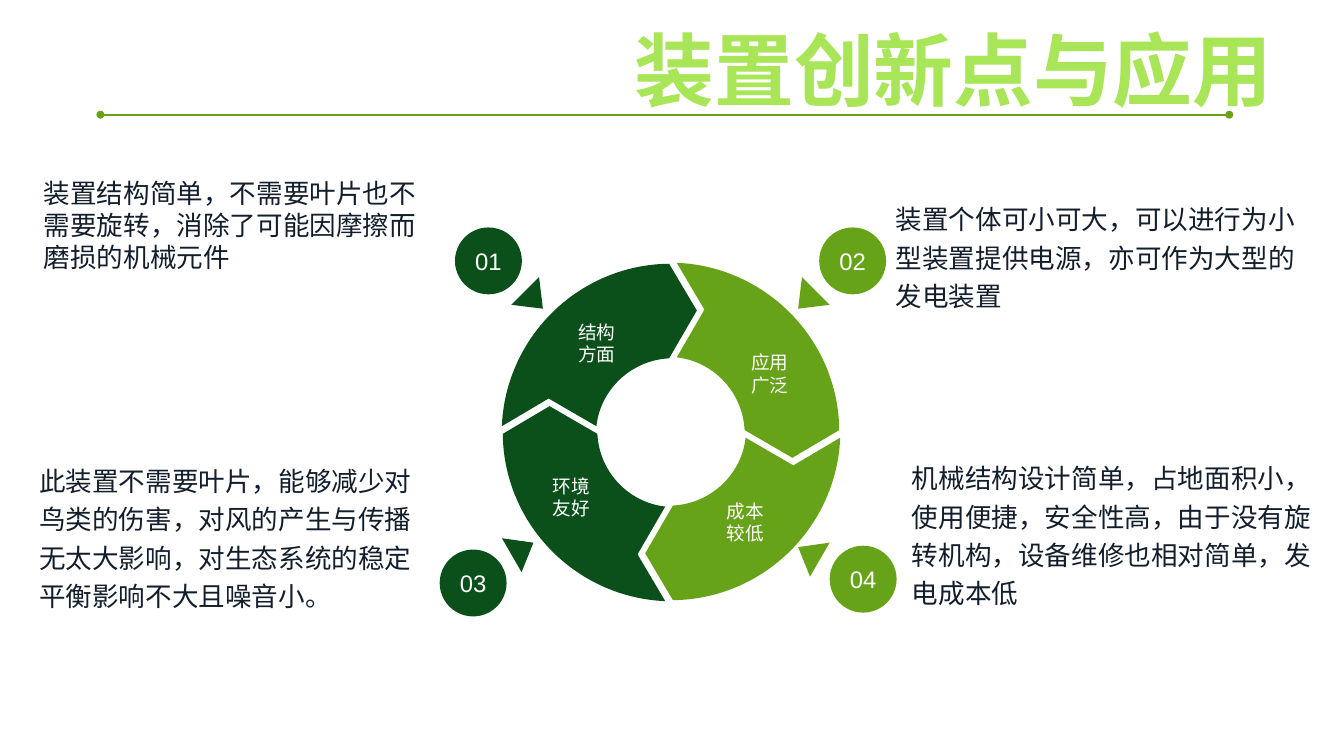
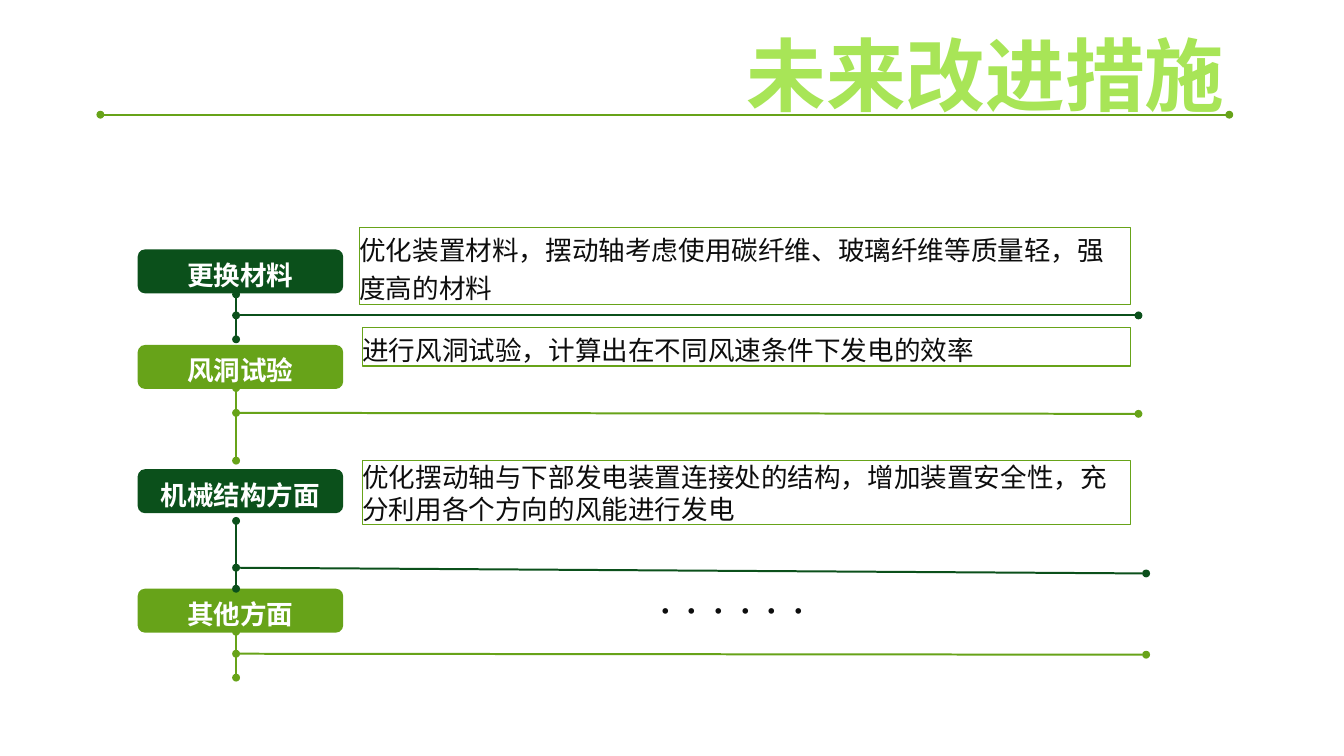
import math

import lxml.etree
import pptx
import pptx.dml.color
import pptx.enum.lang
import pptx.enum.shapes
import pptx.enum.text
import pptx.oxml.ns
import pptx.util

Inches = pptx.util.Inches
SHAPE = pptx.enum.shapes.MSO_SHAPE
ALIGN = pptx.enum.text.PP_ALIGN
ANCHOR = pptx.enum.text.MSO_ANCHOR
FIT = pptx.enum.text.MSO_AUTO_SIZE
qn = pptx.oxml.ns.qn

COLORS = {
    "dark": "0B501B", "green": "67A319", "lime": "A8E557",
    "ink": "131E2C", "black": "0D0D0D", "white": "FFFFFF",
}
SANS = "Noto Sans CJK SC"
LATIN = "Arial"


# Shared helpers
def tint(name):
    return pptx.dml.color.RGBColor.from_string(COLORS[name])


def write(shape, text, size, color, font=SANS, bold=False, align=ALIGN.LEFT,
          anchor=ANCHOR.TOP, gap=1.0, grow=False, pad=(0, 0)):
    frame = shape.text_frame
    frame.text = text
    frame.word_wrap = True
    frame.vertical_anchor = anchor
    frame.auto_size = FIT.SHAPE_TO_FIT_TEXT if grow else FIT.NONE
    frame.margin_left = frame.margin_right = Inches(pad[0])
    frame.margin_top = frame.margin_bottom = Inches(pad[1])
    for para in frame.paragraphs:
        para.alignment = align
        para.line_spacing = gap
        for run in para.runs:
            run.font.size = pptx.util.Pt(size)
            run.font.bold = bold
            run.font.color.rgb = tint(color)
            run.font.name = font
            run.font.language_id = (
                pptx.enum.lang.MSO_LANGUAGE_ID.SIMPLIFIED_CHINESE)
            east = lxml.etree.Element(qn("a:ea"))
            east.set("typeface", SANS if font == LATIN else font)
            run._r.rPr.find(qn("a:latin")).addnext(east)


def paint(shape, fill, line=None):
    shape.shadow.inherit = False
    shape.fill.solid()
    shape.fill.fore_color.rgb = tint(fill)
    if line:
        shape.line.color.rgb = tint(line)
        shape.line.width = pptx.util.Pt(1)
    else:
        shape.line.fill.background()


def block(slide, kind, box, fill, line=None):
    shape = slide.shapes.add_shape(kind, *map(Inches, box))
    paint(shape, fill, line)
    return shape


def label(slide, box, text, size, color, **style):
    shape = slide.shapes.add_textbox(*map(Inches, box))
    write(shape, text, size, color, **style)


def outline(slide, x, y, points, fill, curves=()):
    """Closed outline; curves holds the index of each first control point."""
    spots = [(Inches(x + dx), Inches(y + dy)) for dx, dy in points]
    build = slide.shapes.build_freeform(*spots[0], scale=1.0)
    build.add_line_segments(spots[1:], close=True)
    shape = build.convert_to_shape()
    paint(shape, fill)
    steps = list(shape._element.iter(qn("a:lnTo")))
    for first in curves:
        trio = steps[first - 1:first + 2]
        curve = lxml.etree.Element(qn("a:cubicBezTo"))
        trio[0].addprevious(curve)
        for step in trio:
            curve.append(step[0])
            step.getparent().remove(step)


def rule(slide, x1, y1, x2, y2, color):
    line = slide.shapes.add_connector(
        pptx.enum.shapes.MSO_CONNECTOR.STRAIGHT,
        *map(Inches, (x1, y1, x2, y2)))
    line.line.color.rgb = tint(color)
    line.line.width = pptx.util.Pt(1.5)
    props = line._element.spPr
    stroke = props.find(qn("a:ln"))
    for end in ("a:headEnd", "a:tailEnd"):
        lxml.etree.SubElement(stroke, qn(end)).set("type", "oval")
    lxml.etree.SubElement(props, qn("a:effectLst"))


def turn(points, angle):
    cos, sin = math.cos(math.radians(angle)), math.sin(math.radians(angle))
    return [(x * cos - y * sin, x * sin + y * cos) for x, y in points]


def start(deck, title, box):
    slide = deck.slides.add_slide(deck.slide_layouts[5])
    head = slide.shapes.title
    head.left, head.top, head.width, head.height = map(Inches, box)
    write(head, title, 60, "lime", bold=True, anchor=ANCHOR.MIDDLE)
    rule(slide, 12.86, 1.2, 1.05, 1.2, "green")
    return slide


# Ring of four arrows
def ring(slide, x, y):
    arrow = [
        (0.27, -1.27), (-0.02, -1.76),
        (-0.96, -1.75), (-1.73, -1), (-1.77, -0.06),
        (-1.28, -0.35), (-0.78, -0.06),
        (-0.74, -0.44), (-0.42, -0.75), (-0.02, -0.77),
    ]
    parts = [
        ("结构方面", "dark", -1.05, -1.3), ("应用广泛", "green", 0.76, -0.98),
        ("成本较低", "green", 0.5, 0.57), ("环境友好", "dark", -1.32, 0.31),
    ]
    for i, (text, color, dx, dy) in enumerate(parts):
        outline(slide, x, y, turn(arrow, 90 * i), color, curves=(2, 7))
        label(slide, (x + dx, y + dy, 0.55, 0.74), text, 14, "white",
              font=LATIN, align=ALIGN.CENTER, anchor=ANCHOR.MIDDLE)


# Numbered disc with its pointer
def badge(slide, x, y, text, color, angle=0, flip=False):
    side = -1 if flip else 1
    wedge = [(side * 0.53, 0.17), (side * 0.24, 0.46), (side * 0.57, 0.5)]
    outline(slide, x, y, turn(wedge, angle), color)
    disc = block(slide, SHAPE.OVAL, (x - 0.35, y - 0.35, 0.7, 0.7), color)
    write(disc, text, 18, "white", font=LATIN, align=ALIGN.CENTER,
          anchor=ANCHOR.MIDDLE)


def points_slide(deck):
    slide = start(deck, "装置创新点与应用", (6.64, 0.21, 7.42, 1.01))
    ring(slide, 7.02, 4.52)
    badge(slide, 5.11, 2.73, "01", "dark")
    badge(slide, 8.92, 2.73, "02", "green", flip=True)
    badge(slide, 4.95, 6.1, "03", "dark", angle=285)
    badge(slide, 9.03, 6.06, "04", "green", angle=165)
    label(slide, (0.36, 1.8, 4.15, 1.11),
          "装置结构简单，不需要叶片也不需要旋转，消除了可能因摩擦而磨损的机械元件",
          20, "ink", grow=True, pad=(0.1, 0.05))
    notes = [
        ((9.37, 2.06, 4.22, 1.21),
         "装置个体可小可大，可以进行为小型装置提供电源，亦可作为大型的发电装置"),
        ((0.41, 4.8, 3.98, 1.62),
         "此装置不需要叶片，能够减少对鸟类的伤害，对风的产生与传播无太大影响，"
         "对生态系统的稳定平衡影响不大且噪音小。"),
        ((9.54, 4.77, 4.3, 1.62),
         "机械结构设计简单，占地面积小，使用便捷，安全性高，由于没有旋转机构，"
         "设备维修也相对简单，发电成本低"),
    ]
    for box, text in notes:
        label(slide, box, text, 20, "ink", gap=1.2, grow=True)


# Timeline of measures
def bar(slide, x, y, text, color):
    shape = block(slide, SHAPE.ROUNDED_RECTANGLE, (x, y, 2.15, 0.46), color)
    write(shape, text, 20, "white", font=LATIN, bold=True, gap=1.2,
          align=ALIGN.CENTER, anchor=ANCHOR.MIDDLE, pad=(0.1, 0.05))


def note(slide, box, text, font, gap):
    shape = block(slide, SHAPE.RECTANGLE, box, "white", "green")
    write(shape, text, 20, "black", font=font, gap=gap, grow=True)


def link(slide, x, y, trunk, branch, color):
    top, foot = trunk
    near, far, end = branch
    rule(slide, x, y + top, x, y + foot, color)
    rule(slide, end, y + far, x, y + near, color)


def plan_slide(deck):
    slide = start(deck, "未来改进措施", (7.81, 0.27, 5.82, 1.01))
    # Name, colour, top, trunk span, branch (near, far, right end)
    rows = [
        ("更换材料", "dark", 2.61, (0.47, 0.94), (0.69, 0.69, 11.91)),
        ("风洞试验", "green", 3.61, (0.45, 1.21), (0.71, 0.72, 11.91)),
        ("机械结构方面", "dark", 4.91, (0.54, 1.25), (1.03, 1.09, 11.99)),
        ("其他方面", "green", 6.16, (0.45, 0.93), (0.68, 0.69, 11.99)),
    ]
    for name, color, top, trunk, branch in rows:
        bar(slide, 1.44, top, name, color)
    for name, color, top, trunk, branch in rows:
        link(slide, 2.47, top, trunk, branch, color)
    note(slide, (3.76, 2.38, 8.07, 0.81),
         "优化装置材料，摆动轴考虑使用碳纤维、玻璃纤维等质量轻，强度高的材料",
         SANS, 1.2)
    note(slide, (3.79, 3.43, 8.04, 0.4),
         "进行风洞试验，计算出在不同风速条件下发电的效率",
         "Noto Sans CJK JP", 1.2)
    note(slide, (3.79, 4.82, 8.04, 0.67),
         "优化摆动轴与下部发电装置连接处的结构，增加装置安全性，"
         "充分利用各个方向的风能进行发电", SANS, 1.0)
    label(slide, (3.33, 6.22, 8.66, 0.34), "······", 20, "black",
          align=ALIGN.CENTER, grow=True)


def main():
    deck = pptx.Presentation()
    deck.slide_width, deck.slide_height = Inches(14.06), Inches(7.91)
    points_slide(deck)
    plan_slide(deck)
    deck.save("out.pptx")


if __name__ == "__main__":
    main()
